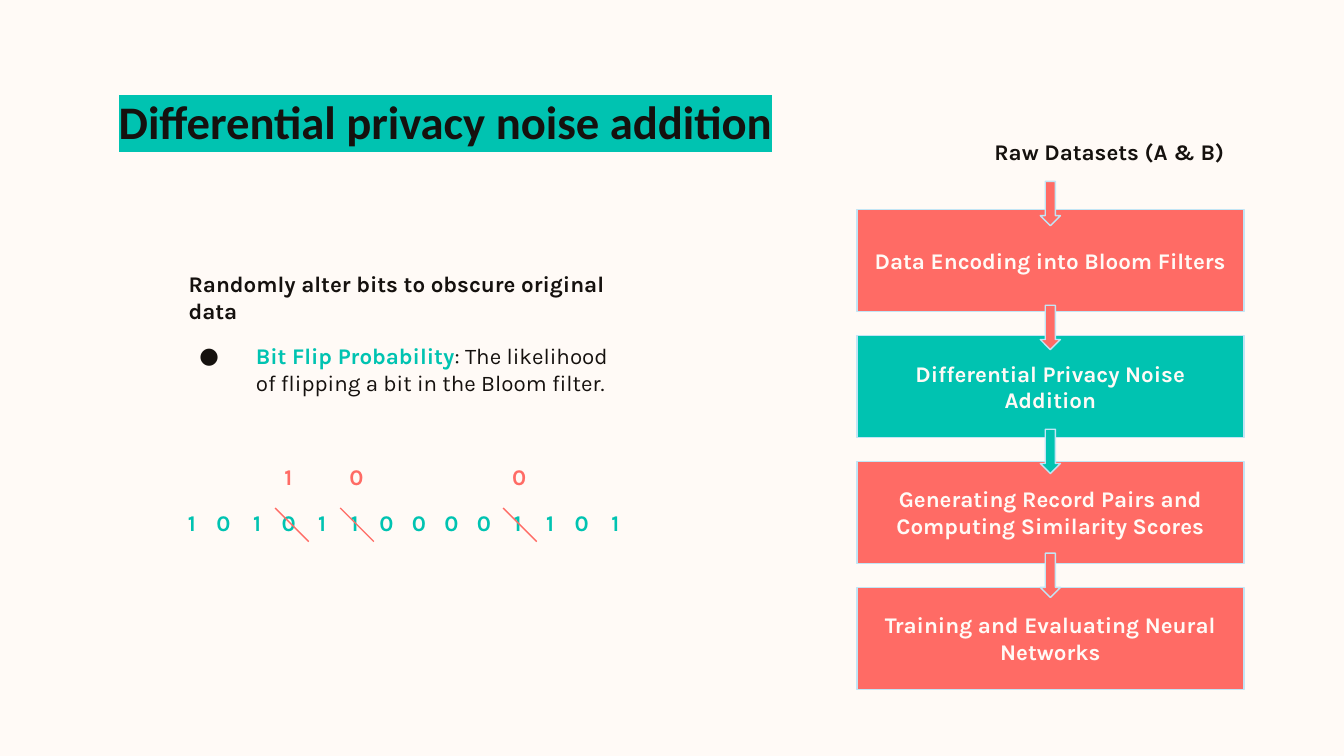
from dataclasses import dataclass

from lxml import etree
from pptx import Presentation
from pptx import util as u
from pptx.dml.color import RGBColor
from pptx.enum import shapes, text
from pptx.oxml import ns


@dataclass(frozen=True)
class Theme:
    """Colours, fonts and point sizes of the slide."""
    paper: str = "FFFAF6"
    ink: str = "15110E"
    teal: str = "00C3B1"
    coral: str = "FF6B65"
    edge: str = "C2E5F5"
    title_font: str = "Calibri"
    body_font: str = "Karla"
    title_size: float = 25
    body_size: float = 12
    gap: float = 10
    hairline: float = 0.75


@dataclass(frozen=True)
class Box:
    """A rectangle in columns and rows of the slide grid."""
    left: float
    top: float
    width: float
    height: float

    def inner(self, left, top, width, height):
        """Return a box placed relative to this one."""
        return Box(self.left + left, self.top + top, width, height)

    def lengths(self):
        """Return left, top, width and height as slide lengths."""
        return [grid(value) for value in (self.left, self.top, self.width, self.height)]


THEME = Theme()
COLUMNS, ROWS = 100, 56.25
CELL = 0.1
STEPS = [
    ("Data Encoding into Bloom Filters", THEME.coral),
    ("Differential Privacy Noise Addition", THEME.teal),
    ("Generating Record Pairs and Computing Similarity Scores", THEME.coral),
    ("Training and Evaluating Neural Networks", THEME.coral),
]
BITS = "10101100001101"
FLIPPED = (3, 5, 10)


def grid(cells):
    """Turn a number of grid cells into a slide length."""
    return u.Inches(cells * CELL)


def rgb(color):
    """Turn a hex string into a colour."""
    return RGBColor.from_string(color)


def style(font, color, bold=True, name=THEME.body_font, size=THEME.body_size):
    """Set the face, size, weight and colour of a font."""
    font.name, font.size, font.bold = name, u.Pt(size), bold
    font.color.rgb = rgb(color)


def prepare_frame(shape):
    """Give a shape wrapping text with even margins."""
    frame = shape.text_frame
    frame.word_wrap = True
    frame.margin_left = frame.margin_right = grid(1)
    frame.margin_top = frame.margin_bottom = grid(1)
    return frame


def add_label(slide, box, words, color, name=THEME.body_font, size=THEME.body_size):
    """Add a one-paragraph text box and return its frame."""
    frame = prepare_frame(slide.shapes.add_textbox(*box.lengths()))
    paragraph = frame.paragraphs[0]
    paragraph.text = words
    style(paragraph.font, color, name=name, size=size)
    return frame


def add_block(slide, box, preset, color):
    """Add a filled shape with a thin pale outline."""
    shape = slide.shapes.add_shape(preset, *box.lengths())
    shape.shadow.inherit = False
    shape.fill.solid()
    shape.fill.fore_color.rgb = rgb(color)
    shape.line.color.rgb = rgb(THEME.edge)
    shape.line.width = u.Pt(THEME.hairline)
    return shape


def add_title(slide, box):
    """Place the highlighted title."""
    frame = add_label(slide, box, "Differential privacy noise addition", THEME.ink,
                      THEME.title_font, THEME.title_size)
    properties = frame.paragraphs[0].runs[0]._r.get_or_add_rPr()
    highlight = etree.SubElement(properties, ns.qn("a:highlight"))
    etree.SubElement(highlight, ns.qn("a:srgbClr"), val=THEME.teal)


def add_explanation(slide, box):
    """Place the lead sentence and its bullet."""
    frame = add_label(slide, box, "Randomly alter bits to obscure original data", THEME.ink)
    bullet = frame.add_paragraph()
    bullet.space_before = u.Pt(THEME.gap)
    properties = bullet._p.get_or_add_pPr()
    properties.set("marL", str(grid(5)))
    properties.set("indent", str(-grid(4.2)))
    bullet_color = etree.SubElement(properties, ns.qn("a:buClr"))
    etree.SubElement(bullet_color, ns.qn("a:srgbClr"), val=THEME.ink)
    etree.SubElement(properties, ns.qn("a:buSzPts"), val=str(THEME.body_size * 100))
    etree.SubElement(properties, ns.qn("a:buFont"), typeface=THEME.body_font)
    etree.SubElement(properties, ns.qn("a:buChar"), char="●")
    for words, color, bold in (
        ("Bit Flip Probability", THEME.teal, True),
        (": The likelihood of flipping a bit in the Bloom filter.", THEME.ink, False),
    ):
        run = bullet.add_run()
        run.text = words
        style(run.font, color, bold)


def add_strike(slide, box):
    """Draw a diagonal line across a box."""
    left, top, width, height = box.lengths()
    line = slide.shapes.add_connector(
        shapes.MSO_CONNECTOR.STRAIGHT, left, top, left + width, top + height)
    line.line.color.rgb = rgb(THEME.coral)
    line.line.width = u.Pt(THEME.hairline)
    etree.SubElement(line._element.spPr, ns.qn("a:effectLst"))


def add_bits(slide, box):
    """Place the bit row, strike the flipped bits and write their new values."""
    width, height, zero_shift = 3, 4, 0.3
    pitch = (box.width - width) / (len(BITS) - 1)
    row = box.height - height
    for index, bit in enumerate(BITS):
        shift = zero_shift if bit == "0" else 0
        add_label(slide, box.inner(index * pitch - shift, row, width, height), bit, THEME.teal)
    for index in FLIPPED:
        flipped = "1" if BITS[index] == "0" else "0"
        add_strike(slide, box.inner(index * pitch + 0.2, row + 0.9, 2.5, 2.5))
        add_label(slide, box.inner(index * pitch - 0.1, 0, width, height), flipped, THEME.coral)


def add_pipeline(slide, box):
    """Stack the steps under their input and link them with arrows."""
    add_label(slide, box.inner(9.25, 0, 19.5, 4.5), "Raw Datasets (A & B)", THEME.ink)
    first, height = 6.3, 7.6
    pitch = (box.height - first - height) / (len(STEPS) - 1)
    for index, (words, color) in enumerate(STEPS):
        step = add_block(slide, box.inner(0, first + index * pitch, box.width, height),
                         shapes.MSO_SHAPE.RECTANGLE, color)
        frame = prepare_frame(step)
        frame.vertical_anchor = text.MSO_ANCHOR.MIDDLE
        paragraph = frame.paragraphs[0]
        paragraph.text = words
        paragraph.alignment = text.PP_ALIGN.CENTER
        style(paragraph.font, THEME.paper)
    sources = [THEME.coral] + [color for _, color in STEPS[:-1]]
    for index, color in enumerate(sources):
        add_block(slide, box.inner((box.width - 1.5) / 2, 4.2 + index * 9.22, 1.5, 3.3),
                  shapes.MSO_SHAPE.DOWN_ARROW, color)


def main():
    """Build and save the slide."""
    presentation = Presentation()
    presentation.slide_width, presentation.slide_height = grid(COLUMNS), grid(ROWS)
    slide = presentation.slides.add_slide(presentation.slide_layouts[6])
    slide.background.fill.solid()
    slide.background.fill.fore_color.rgb = rgb(THEME.paper)
    add_explanation(slide, Box(13.05, 19.1, 33.3, 13.7))
    add_title(slide, Box(7.85, 5.9, 84.4, 6))
    add_pipeline(slide, Box(63.75, 9.3, 28.8, 42))
    add_bits(slide, Box(13, 33.5, 34.5, 7.4))
    presentation.save("out.pptx")


if __name__ == "__main__":
    main()
